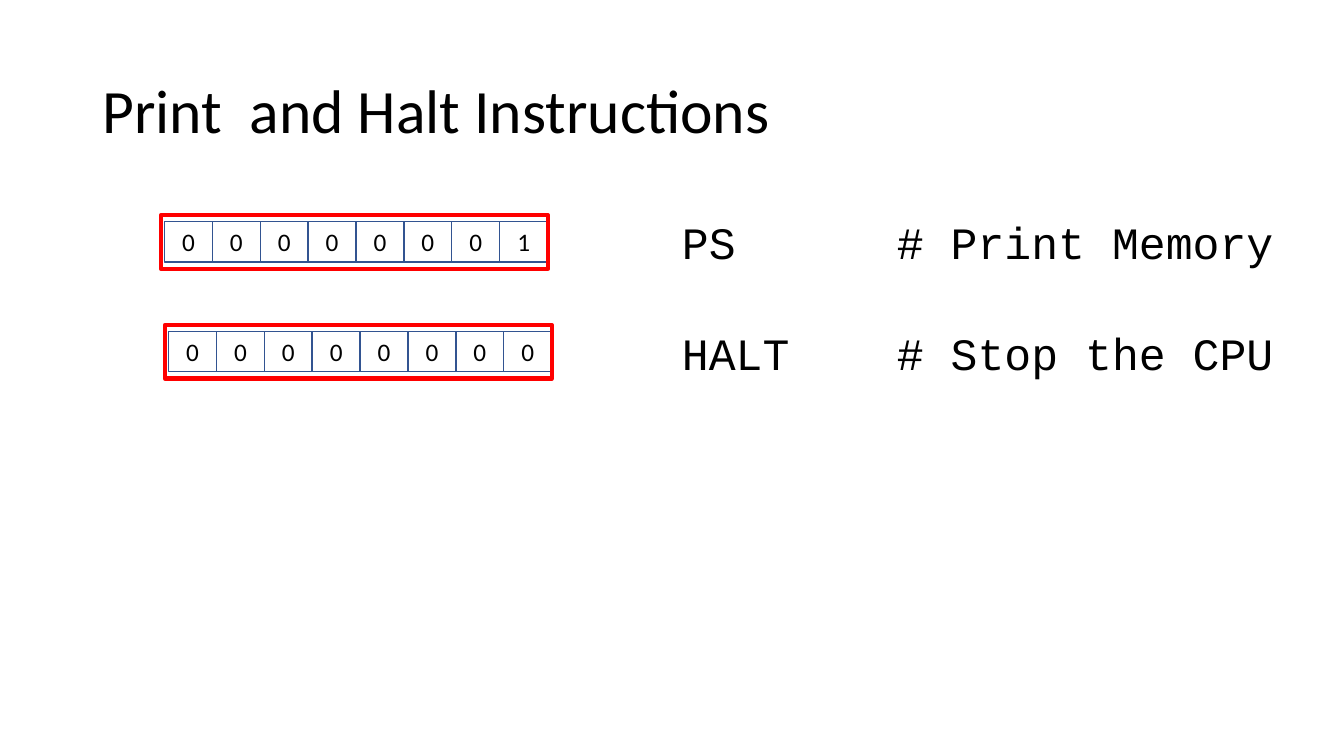
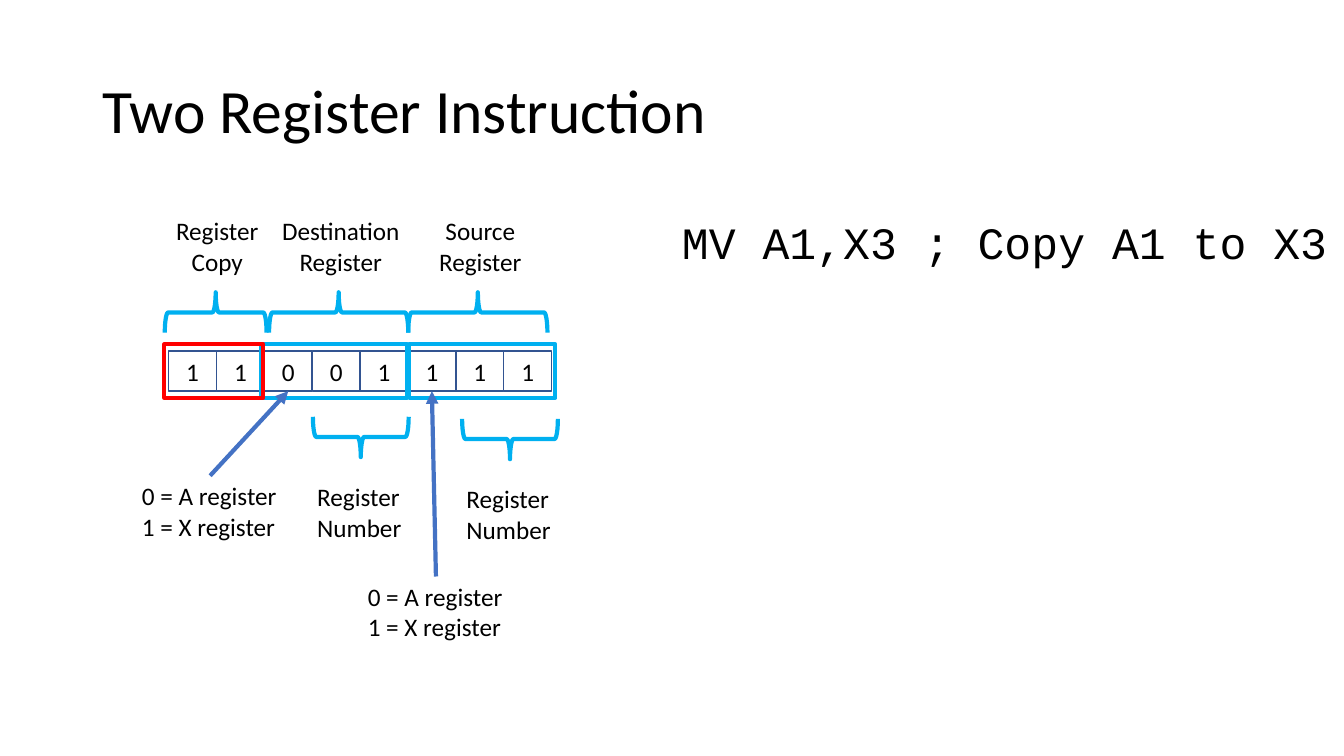
from lxml.etree import SubElement as Sub
from pptx import Presentation as Deck
from pptx.dml.color import RGBColor as Rgb
from pptx.enum.shapes import MSO_CONNECTOR as Conn, MSO_SHAPE as Shape
from pptx.enum.text import MSO_ANCHOR as Anchor, PP_ALIGN as Align
from pptx.oxml.ns import qn
from pptx.util import Pt

COLORS = {"ink": "000000", "cell": "325491", "red": "FF0000",
          "blue": "00B0F0", "arrow": "4472C4"}
BODY, CODE = "Calibri", "Courier New"
CELL_W, CELL_H = 34.2, 28.8
BRACE_H = 28.8


def color(name):
    return Rgb.from_string(COLORS[name])


def write(frame, text, size=18, font=BODY, align=Align.LEFT, anchor=Anchor.TOP,
          wrap=False, lead=None, gap=0, tab=None):
    frame.word_wrap = wrap
    frame.vertical_anchor = anchor
    for i, line in enumerate(text.split("\n")):
        para = frame.add_paragraph() if i else frame.paragraphs[0]
        para.alignment = align
        if lead:
            para.line_spacing = lead
        if i and gap:
            para.space_before = Pt(gap)
        if tab:
            stops = Sub(para._p.get_or_add_pPr(), qn("a:tabLst"))
            Sub(stops, qn("a:tab"), pos=str(Pt(tab)), algn="l")
        run = para.add_run()
        run.text = line
        run.font.size = Pt(size)
        run.font.name = font
        run.font.color.rgb = color("ink")


class Sketch:
    def __init__(self):
        self.deck = Deck()
        self.deck.slide_width, self.deck.slide_height = Pt(960), Pt(540)
        self.slide = None

    def page(self, title):
        self.slide = self.deck.slides.add_slide(self.deck.slide_layouts[6])
        self.label(title, 66, 28.8, 828, 104.4, size=44, wrap=True,
                   anchor=Anchor.MIDDLE, lead=0.9)

    def label(self, text, x, y, w, h, **style):
        box = self.slide.shapes.add_textbox(Pt(x), Pt(y), Pt(w), Pt(h))
        write(box.text_frame, text, **style)
        return box

    def code(self, text, h, **style):
        self.label(text, 480, 149.8, 480, h, size=32, font=CODE, wrap=True, **style)

    def shape(self, kind, x, y, w, h, line, width):
        item = self.slide.shapes.add_shape(kind, Pt(x), Pt(y), Pt(w), Pt(h))
        item.shadow.inherit = False
        item.fill.background()
        item.line.color.rgb = color(line)
        item.line.width = Pt(width)
        return item

    def frame(self, x, y, w, line):
        self.shape(Shape.RECTANGLE, x, y, w, 38.2, line, 3)

    def bits(self, digits, x, y):
        cells = []
        for i, digit in enumerate(digits):
            cell = self.shape(Shape.RECTANGLE, x + i * CELL_W, y,
                              CELL_W, CELL_H, "cell", 1)
            write(cell.text_frame, digit, align=Align.CENTER, anchor=Anchor.MIDDLE)
            cells.append(cell)
        return cells

    def brace(self, x, y, w, turn):
        shift = (w - BRACE_H) / 2
        item = self.shape(Shape.LEFT_BRACE, x + shift, y - shift,
                          BRACE_H, w, "blue", 3)
        item.rotation = turn

    def arrow(self, start, end):
        line = self.slide.shapes.add_connector(Conn.STRAIGHT, 0, 0, 0, 0)
        line.begin_connect(start, 0)
        line.end_connect(end, 2)
        line.line.color.rgb = color("arrow")
        line.line.width = Pt(3)
        Sub(line.line._get_or_add_ln(), qn("a:tailEnd"), type="triangle")
        Sub(line._element.spPr, qn("a:effectLst"))


def print_halt(art):
    art.page("Print  and Halt Instructions")
    for digits, x, y in (("00000000", 120.4, 236.8), ("00000001", 117.5, 158.4)):
        art.bits(digits, x, y)
        art.frame(x - 2.6, y - 4.6, 276.5, "red")
    art.code("PS\t# Print Memory\nHALT\t# Stop the CPU", 123.8, gap=41, tab=153.6)


def two_reg(art):
    art.page("Two Register Instruction")
    cells = art.bits("11001111", 120.4, 250.6)
    art.code("MV A1,X3 ; Copy A1 to X3", 46)

    for x, w in ((186.5, 104.4), (292.3, 104.4)):
        art.frame(x, 246, w, "blue")
    art.frame(117.4, 246, 70.6, "red")

    for text, x, w in (("Register\nCopy", 118.1, 74.2),
                       ("Destination\nRegister", 193.7, 99.4),
                       ("Source\nRegister", 306, 74.2)):
        art.label(text, x, 150.5, w, 51, align=Align.CENTER)
    for x, w in ((117.7, 72.7), (192.2, 99.4), (291.6, 99.4)):
        art.brace(x, 208.8, w, 90)

    for x, y in ((223.5, 297.7), (330.1, 299.2)):
        art.brace(x, y, 68.4, 270)
        art.label("Register\nNumber", x - 4, y + 42.8, 75.6, 51)

    for x, y, cell in ((94.3, 339.8, cells[2]), (255.6, 411.8, cells[5])):
        note = art.label("0 = A register\n1 = X register", x, y, 111.6, 51)
        art.arrow(note, cell)


def main():
    art = Sketch()
    print_halt(art)
    two_reg(art)
    art.deck.save("out.pptx")


if __name__ == "__main__":
    main()
